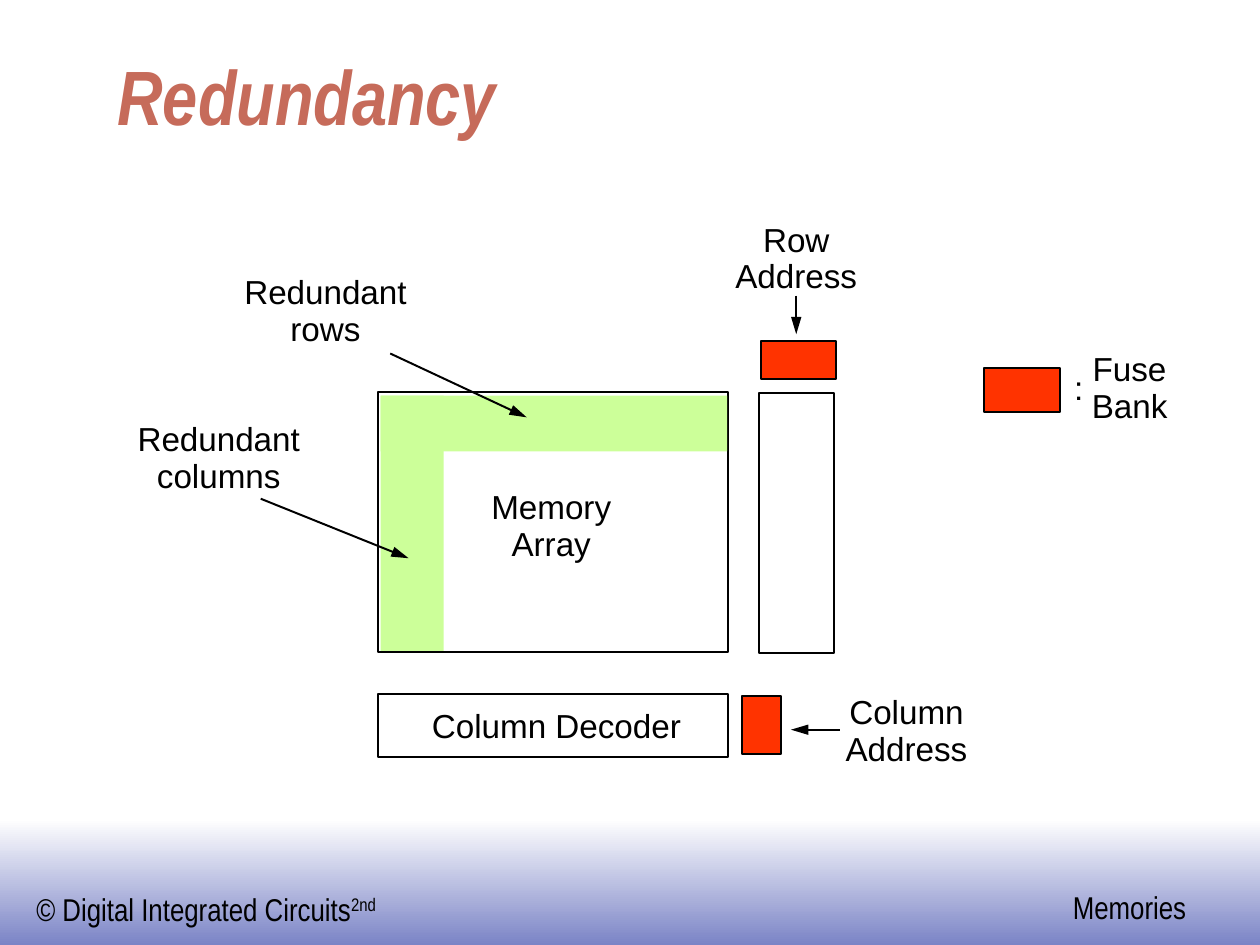
from dataclasses import dataclass

from lxml import etree
from pptx import Presentation
from pptx.dml.color import RGBColor
from pptx.enum import shapes, text
from pptx.oxml import ns
from pptx.util import Pt

BLACK, RED, GREEN = "000000", "FF3300", "CCFF99"
LINE_WIDTH = 1.13
LABEL_PITCH = 20.9
LABEL_FORMAT = {"name": "Arial", "size": Pt(19)}
FOOTER_FORMAT = {"name": "Arial Narrow", "size": Pt(18)}
TITLE_FORMAT = {"name": "Arial Narrow", "size": Pt(44), "bold": True, "italic": True}


@dataclass
class Block:
    left: float
    top: float
    width: float
    height: float
    fill: str | None = None
    outlined: bool = True


@dataclass
class Label:
    """Centred lines of text, placed by their middle and top."""
    middle: float
    top: float
    lines: tuple[str, ...]
    width: float = 100


@dataclass
class Arrow:
    start: tuple[float, float]
    tip: tuple[float, float]


BLOCKS = [
    Block(216, 224, 200, 148.5),                       # memory array
    Block(433.5, 224.5, 43, 148.5),                    # row decoder
    Block(435, 195, 43, 21.5, RED),                    # row fuse bank
    Block(562.5, 210.5, 43, 25, RED),                  # legend
    Block(216, 396.5, 200, 36),                        # column decoder
    Block(424, 397.5, 22.5, 33.5, RED),                # column fuse bank
    Block(217.5, 226, 198, 32, GREEN, outlined=False),  # redundant rows
    Block(217.5, 226, 36, 146, GREEN, outlined=False),  # redundant columns
]
LABELS = [
    Label(315, 280, ("Memory", "Array")),
    Label(318, 405, ("Column Decoder",), 160),
    Label(186, 157, ("Redundant", "rows")),
    Label(125, 241, ("Redundant", "columns")),
    Label(455, 127, ("Row", "Address")),
    Label(518, 397, ("Column", "Address")),
    Label(645.5, 201, ("Fuse", "Bank"), 50),
    Label(616.5, 211.5, (":",), 8),
]
ARROWS = [
    Arrow((480, 417), (452, 417)),
    Arrow((455, 169), (455, 191)),
    Arrow((223, 202), (301, 238.5)),
    Arrow((149, 285), (233.5, 319)),
]


def colour(value: str) -> RGBColor:
    return RGBColor.from_string(value)


def format_font(font, values: dict, shade: str = BLACK) -> None:
    for name, value in values.items():
        setattr(font, name, value)
    font.color.rgb = colour(shade)


def add_block(page, block: Block):
    shape = page.shapes.add_shape(
        shapes.MSO_SHAPE.RECTANGLE,
        *map(Pt, (block.left, block.top, block.width, block.height)))
    shape.shadow.inherit = False
    if block.fill:
        shape.fill.solid()
        shape.fill.fore_color.rgb = colour(block.fill)
    else:
        shape.fill.background()
    if block.outlined:
        shape.line.color.rgb = colour(BLACK)
        shape.line.width = Pt(LINE_WIDTH)
    else:
        shape.line.fill.background()
    return shape


def add_label(page, label: Label) -> None:
    box = page.shapes.add_textbox(
        Pt(label.middle - label.width / 2), Pt(label.top),
        Pt(label.width), Pt(LABEL_PITCH * len(label.lines)))
    frame = box.text_frame
    frame.word_wrap = True
    for side in ("left", "top", "right", "bottom"):
        setattr(frame, f"margin_{side}", Pt(0))
    frame.text = "\n".join(label.lines)
    for para in frame.paragraphs:
        para.alignment = text.PP_ALIGN.CENTER
        para.line_spacing = Pt(LABEL_PITCH)
        format_font(para.font, LABEL_FORMAT)


def add_arrow(page, arrow: Arrow) -> None:
    line = page.shapes.add_connector(
        shapes.MSO_CONNECTOR.STRAIGHT, *map(Pt, arrow.start + arrow.tip))
    line.line.color.rgb = colour(BLACK)
    line.line.width = Pt(LINE_WIDTH)
    etree.SubElement(line.line._get_or_add_ln(), ns.qn("a:tailEnd"),
                     type="triangle", w="med", len="lg")
    etree.SubElement(line._element.spPr, ns.qn("a:effectLst"))


def add_line_of_text(page, area: tuple, words: str, values: dict, shade: str = BLACK):
    """Add a box with one line, set at its bottom, and return its paragraph."""
    box = page.shapes.add_textbox(*map(Pt, area))
    box.text_frame.word_wrap = True
    box.text_frame.vertical_anchor = text.MSO_ANCHOR.BOTTOM
    para = box.text_frame.paragraphs[0]
    span = para.add_run()
    span.text = words
    format_font(span.font, values, shade)
    return para


def add_footer(page) -> None:
    band = add_block(page, Block(0, 468, 720, 72, outlined=False))
    band.fill.gradient()
    band.fill.gradient_angle = 270
    for stop, shade, position in zip(band.fill.gradient_stops, ("FFFFFF", "7B84C6"), (0, 1)):
        stop.color.rgb = colour(shade)
        stop.position = position
    para = add_line_of_text(page, (13.7, 504.5, 230, 29),
                            "© Digital Integrated Circuits", FOOTER_FORMAT)
    edition = para.add_run()
    edition.text = "2nd"
    format_font(edition.font, FOOTER_FORMAT)
    edition.font._element.set("baseline", "30000")
    add_line_of_text(page, (606, 503.5, 90, 29), "Memories", FOOTER_FORMAT)


def main() -> None:
    deck = Presentation()
    deck.slide_width, deck.slide_height = Pt(720), Pt(540)
    page = deck.slides.add_slide(deck.slide_layouts[6])
    add_footer(page)
    add_line_of_text(page, (60, 24, 240, 60), "Redundancy", TITLE_FORMAT, "C66B5A")
    for block in BLOCKS:
        add_block(page, block)
    for label in LABELS:
        add_label(page, label)
    for arrow in ARROWS:
        add_arrow(page, arrow)
    deck.save("out.pptx")


if __name__ == "__main__":
    main()
